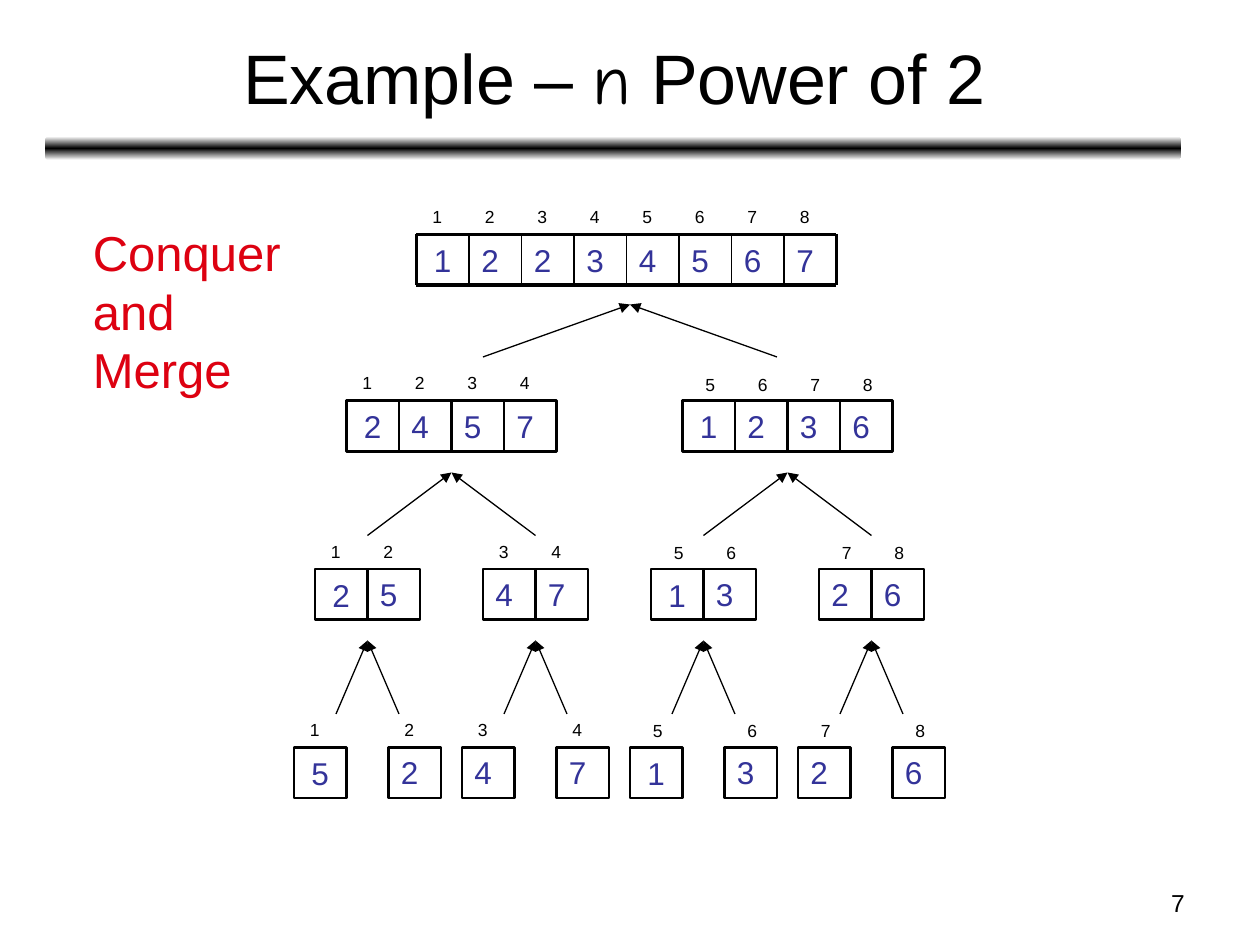
from copy import deepcopy

from lxml.etree import SubElement
from pptx import Presentation
from pptx.dml.color import RGBColor
from pptx.enum.shapes import MSO_CONNECTOR, MSO_SHAPE
from pptx.enum.text import MSO_ANCHOR, PP_ALIGN
from pptx.oxml.ns import qn
from pptx.util import Pt

COLORS = {"black": "000000", "white": "FFFFFF", "value": "333399", "heading": "DD0111"}
TITLE = [("Example – ", "Arial"), ("n", "Comic Neue"), (" Power of 2", "Arial")]
HEADING = ["Conquer", "and", "Merge"]
PAGE_NUMBER = "7"

# Each level of the merge tree: sorted runs, their centres, the top of the cells,
# and the arrows into each run as (tip x of each, tip y, tail y, spread).
LEVELS = [
    {"runs": [[1, 2, 2, 3, 4, 5, 6, 7]], "centres": [358], "top": 134,
     "arrows": ([360], 174, 204, 84)},
    {"runs": [[2, 4, 5, 7], [1, 2, 3, 6]], "centres": [258, 450], "top": 229,
     "arrows": ([258, 450], 270, 306, 48)},
    {"runs": [[2, 5], [4, 7], [1, 3], [2, 6]],
     "centres": [210 + 96 * i for i in range(4)], "top": 325.2,
     "arrows": ([210 + 96 * i for i in range(4)], 366, 408, 18)},
    {"runs": [[5], [2], [4], [7], [1], [3], [2], [6]],
     "centres": [210 + 96 * i + side for i in range(4) for side in (-27, 27)],
     "top": 427, "arrows": ([], 0, 0, 0)},
]
CELL_WIDTH, CELL_HEIGHT = 30, 29
LABEL_WIDTH, LABEL_HEIGHT = 18, 19.4

deck = Presentation()
deck.slide_width, deck.slide_height = Pt(720), Pt(540)
page = deck.slides.add_slide(deck.slide_layouts[6])


def color(name):
    return RGBColor.from_string(COLORS[name])


def add_text(lines, left, top, width, height, size=18, ink="black", align=PP_ALIGN.LEFT,
             anchor=MSO_ANCHOR.TOP, spacing=None, border=None):
    """Add lines of text, each a string or a list of (text, font); border draws a rectangle."""
    area = [Pt(length) for length in (left, top, width, height)]
    if border:
        box = page.shapes.add_shape(MSO_SHAPE.RECTANGLE, *area)
        box.shadow.inherit = False
        box.fill.background()
        box.line.color.rgb = color("black")
        box.line.width = Pt(border)
    else:
        box = page.shapes.add_textbox(*area)
    frame = box.text_frame
    frame.word_wrap = True
    frame.vertical_anchor = anchor
    for number, line in enumerate(lines):
        para = frame.add_paragraph() if number else frame.paragraphs[0]
        para.alignment = align
        if spacing:
            para.line_spacing = Pt(spacing)
        for text, font in [(line, "Arial")] if isinstance(line, str) else line:
            span = para.add_run()
            span.text = text
            span.font.name = font
            span.font.size = Pt(size)
            span.font.color.rgb = color(ink)


def add_line(x1, y1, x2, y2, weight, arrow=False):
    """Draw a black line, with an arrowhead at its start if asked."""
    line = page.shapes.add_connector(MSO_CONNECTOR.STRAIGHT, Pt(x1), Pt(y1), Pt(x2), Pt(y2))
    line.line.color.rgb = color("black")
    line.line.width = Pt(weight)
    if arrow:
        SubElement(line.line._get_or_add_ln(), qn("a:headEnd"), type="triangle")
    SubElement(line._element.spPr, qn("a:effectLst"))


def add_title_bar():
    bar = page.shapes.add_shape(MSO_SHAPE.ROUNDED_RECTANGLE, Pt(26), Pt(78), Pt(649), Pt(13.5))
    bar.shadow.inherit = False
    bar.line.fill.background()
    bar.fill.gradient()
    bar.fill.gradient_angle = 90
    stops = bar._element.spPr.find(".//" + qn("a:gsLst"))
    stops.insert(1, deepcopy(stops[0]))
    for stop, place, name in zip(bar.fill.gradient_stops, (0, 0.5, 1), ("white", "black", "white")):
        stop.position = place
        stop.color.rgb = color(name)


def add_grid(left, top, count):
    """Frame the full array with heavy outer and thin inner lines."""
    right, bottom = left + count * CELL_WIDTH, top + CELL_HEIGHT
    for y in (top, bottom):
        add_line(left, y, right, y, 2.25)
    for i in range(count + 1):
        x = left + i * CELL_WIDTH
        add_line(x, top, x, bottom, 2.25 if i in (0, count) else 1)


def add_level(runs, centres, top, arrows):
    whole = len(runs) == 1
    position = 0
    for run, centre in zip(runs, centres):
        left = centre - len(run) * CELL_WIDTH / 2
        right_half = position >= 4
        for i, value in enumerate(run):
            x = left + i * CELL_WIDTH
            add_text([str(position + 1)], x + (6 if right_half else 2),
                     top - (19 if right_half and not whole else 19.8),
                     LABEL_WIDTH, LABEL_HEIGHT, size=10)
            leads_half = i == 0 and position % 4 == 0
            add_text([str(value)], x, top, CELL_WIDTH, CELL_HEIGHT, ink="value",
                     align=PP_ALIGN.CENTER if leads_half else PP_ALIGN.LEFT,
                     anchor=MSO_ANCHOR.MIDDLE if leads_half else MSO_ANCHOR.TOP,
                     border=None if whole else 1.5)
            position += 1
        if whole:
            add_grid(left, top, len(run))
    tips, tip_y, tail_y, spread = arrows
    for tip in tips:
        for side in (-spread, spread):
            add_line(tip, tip_y, tip + side, tail_y, 0.75, arrow=True)


add_title_bar()
add_text([PAGE_NUMBER], 516, 504, 168, 25, size=14, align=PP_ALIGN.RIGHT)
add_text([TITLE], 27, 8, 648, 71, size=40, align=PP_ALIGN.CENTER, anchor=MSO_ANCHOR.MIDDLE)
for level in LEVELS:
    add_level(**level)
add_text(HEADING, 46, 124, 122, 108, size=28, ink="heading", spacing=33.4)

deck.save("out.pptx")
